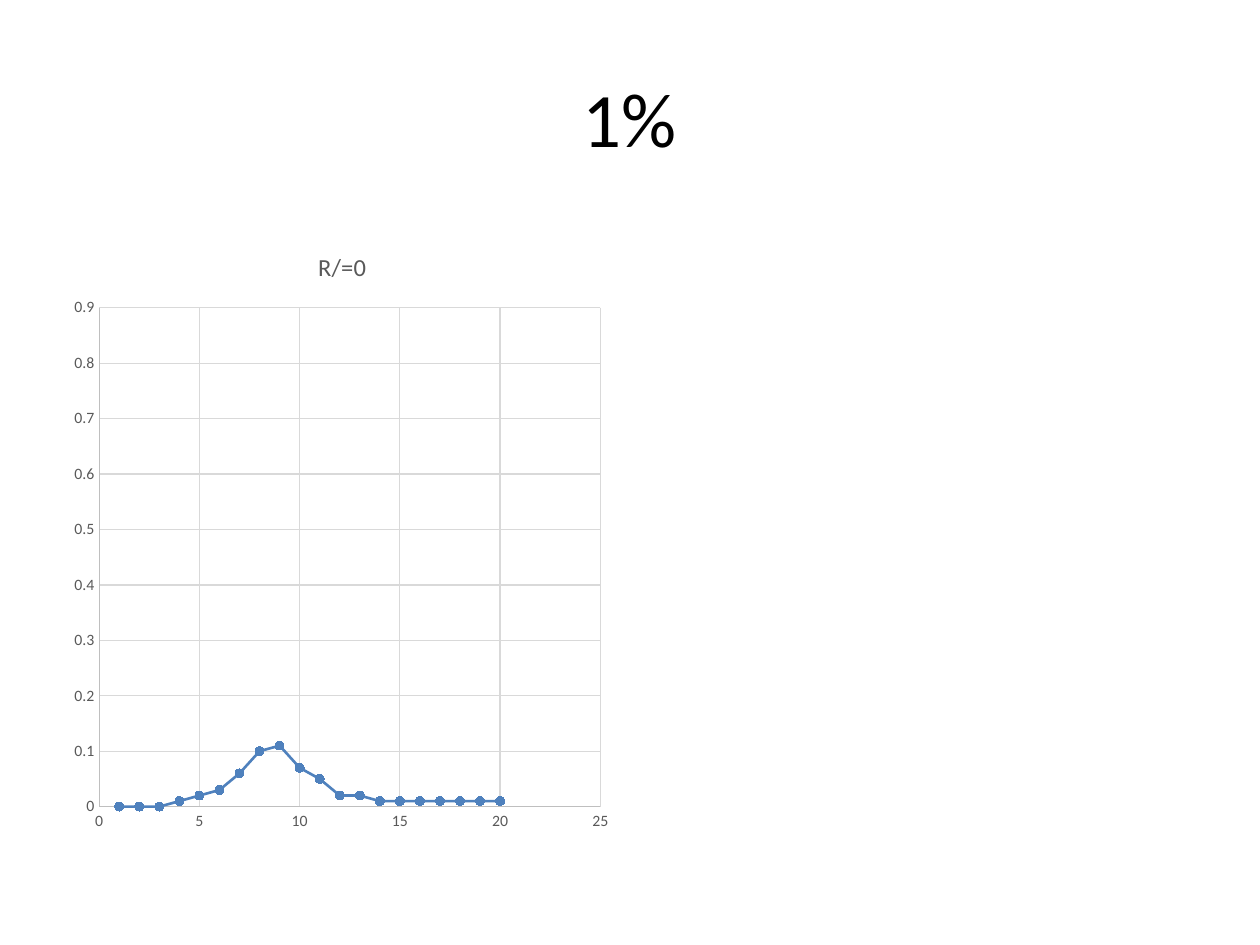
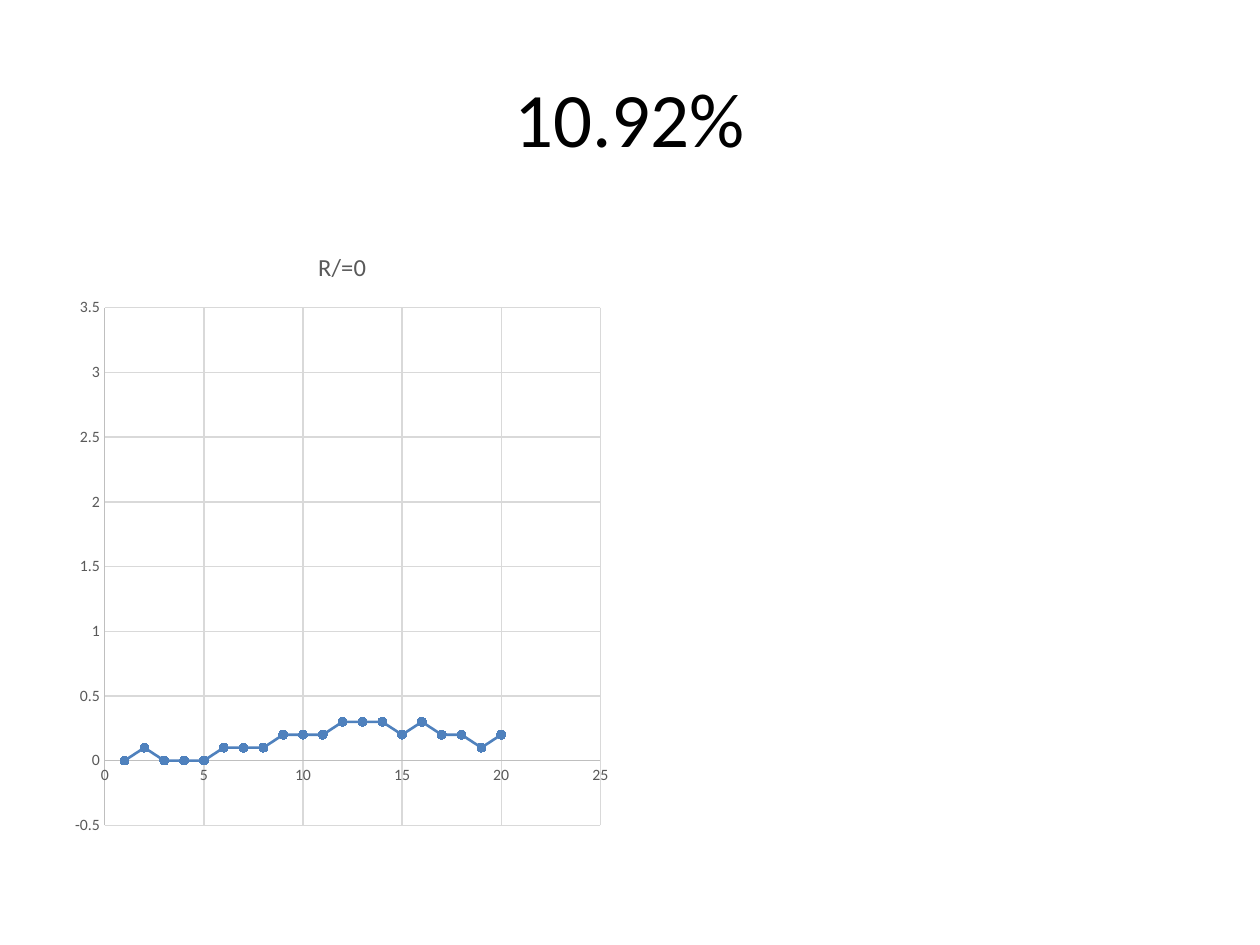
from dataclasses import dataclass

from lxml import etree
from pptx import Presentation
from pptx.chart.data import XyChartData
from pptx.dml.color import RGBColor
from pptx.enum.chart import XL_CHART_TYPE, XL_MARKER_STYLE, XL_TICK_MARK
from pptx.enum.text import MSO_ANCHOR, PP_ALIGN
from pptx.oxml.ns import qn
from pptx.util import Inches, Pt

SMOOTH_SCATTER = XL_CHART_TYPE.XY_SCATTER_SMOOTH
CIRCLE = XL_MARKER_STYLE.CIRCLE
NO_TICK = XL_TICK_MARK.NONE
MIDDLE = MSO_ANCHOR.MIDDLE
CENTER = PP_ALIGN.CENTER
TITLE_ONLY = 5


@dataclass(frozen=True)
class Theme:
    font: str = "Calibri"
    ink: str = "000000"
    label: str = "595959"
    axis: str = "BFBFBF"
    grid: str = "D9D9D9"
    curve: str = "4F81BD"
    title_size: float = 44
    heading_size: float = 14
    chart_size: float = 10
    tick_size: float = 9
    thin: float = 0.75
    thick: float = 1.5


THEME = Theme()
WIDTH, HEIGHT = Inches(10), Inches(7.5)
TITLE_BOX = (0.05, 0.04, 0.9, 1 / 6)
CHART_BOX = (0.05, 0.7 / 3, 0.442, 0.66)
HEADING_AT = {"x": 0.45, "y": 0.04}
PLOT_TOP, PLOT_RIGHT = 0.14, 0.965

SLIDES = [
    {
        "title": "1%",
        "values": [0, 0, 0, 0.01, 0.02, 0.03, 0.06, 0.1, 0.11, 0.07,
                   0.05, 0.02, 0.02, 0.01, 0.01, 0.01, 0.01, 0.01, 0.01, 0.01],
        "scale": (0, 0.9, 0.1),
        "plot_left": 0.065,
        "plot_height": 0.8,
    },
    {
        "title": "10.92%",
        "values": [0, 0.1, 0, 0, 0, 0.1, 0.1, 0.1, 0.2, 0.2,
                   0.2, 0.3, 0.3, 0.3, 0.2, 0.3, 0.2, 0.2, 0.1, 0.2],
        "scale": (-0.5, 3.5, 0.5),
        "plot_left": 0.075,
        "plot_height": 0.83,
    },
]


def set_all(target, values):
    for name, value in values.items():
        setattr(target, name, value)


def style_font(font, size, color):
    set_all(font, {"name": THEME.font, "size": Pt(size), "bold": False})
    font.color.rgb = RGBColor.from_string(color)


def style_line(line, color, width):
    line.color.rgb = RGBColor.from_string(color)
    line.width = Pt(width)


def place(box):
    x, y, w, h = box
    return [round(v) for v in (x * WIDTH, y * HEIGHT, w * WIDTH, h * HEIGHT)]


def set_layout(element, index, shares, inner=False):
    for old in element.findall(qn("c:layout")):
        element.remove(old)
    layout = etree.Element(qn("c:layout"))
    manual = etree.SubElement(layout, qn("c:manualLayout"))
    entries = {"layoutTarget": "inner"} if inner else {}
    entries.update({"xMode": "edge", "yMode": "edge"}, **shares)
    for tag, value in entries.items():
        etree.SubElement(manual, qn(f"c:{tag}")).set("val", str(value))
    element.insert(index, layout)


def add_title(s, box, text):
    sp = s.shapes.title
    set_all(sp, dict(zip(("left", "top", "width", "height"), place(box))))
    tf = sp.text_frame
    tf.vertical_anchor = MIDDLE
    p = tf.paragraphs[0]
    p.alignment = CENTER
    r = p.add_run()
    r.text = text
    style_font(r.font, THEME.title_size, THEME.ink)


def style_axis(axis, scale):
    low, high, step = scale
    set_all(axis, {
        "minimum_scale": low, "maximum_scale": high, "major_unit": step,
        "major_tick_mark": NO_TICK, "minor_tick_mark": NO_TICK,
        "has_major_gridlines": True,
    })
    style_font(axis.tick_labels.font, THEME.tick_size, THEME.label)
    style_line(axis.format.line, THEME.axis, THEME.thin)
    style_line(axis.major_gridlines.format.line, THEME.grid, THEME.thin)


def style_series(series):
    series.smooth = True
    style_line(series.format.line, THEME.curve, THEME.thick)
    marker = series.marker
    set_all(marker, {"style": CIRCLE, "size": 5})
    marker.format.fill.solid()
    marker.format.fill.fore_color.rgb = RGBColor.from_string(THEME.curve)
    style_line(marker.format.line, THEME.curve, THEME.thin)


def add_curve_chart(s, box, values, scale, plot_left, plot_height):
    data = XyChartData()
    points = data.add_series("Series 1")
    for x, y in enumerate(values, start=1):
        points.add_data_point(x, y)
    chart = s.shapes.add_chart(SMOOTH_SCATTER, *place(box), data).chart
    set_all(chart, {"has_legend": False, "has_title": True})
    style_font(chart.font, THEME.chart_size, THEME.ink)
    chart.plots[0].vary_by_categories = False

    r = chart.chart_title.text_frame.paragraphs[0].add_run()
    r.text = "R/=0"
    style_font(r.font, THEME.heading_size, THEME.label)
    set_layout(r._r.getroottree().find(".//" + qn("c:title")), 1, HEADING_AT)

    style_axis(chart.category_axis, (0, 25, 5))
    style_axis(chart.value_axis, scale)
    style_series(chart.plots[0].series[0])
    plot_area = chart.element.find(".//" + qn("c:plotArea"))
    shares = {"x": plot_left, "y": PLOT_TOP,
              "w": round(PLOT_RIGHT - plot_left, 3), "h": plot_height}
    set_layout(plot_area, 0, shares, inner=True)


def add_curve_slide(prs, title, **curve):
    s = prs.slides.add_slide(prs.slide_layouts[TITLE_ONLY])
    add_title(s, TITLE_BOX, title)
    add_curve_chart(s, CHART_BOX, **curve)


def main():
    prs = Presentation()
    set_all(prs, {"slide_width": WIDTH, "slide_height": HEIGHT})
    for content in SLIDES:
        add_curve_slide(prs, **content)
    prs.save("out.pptx")


if __name__ == "__main__":
    main()
